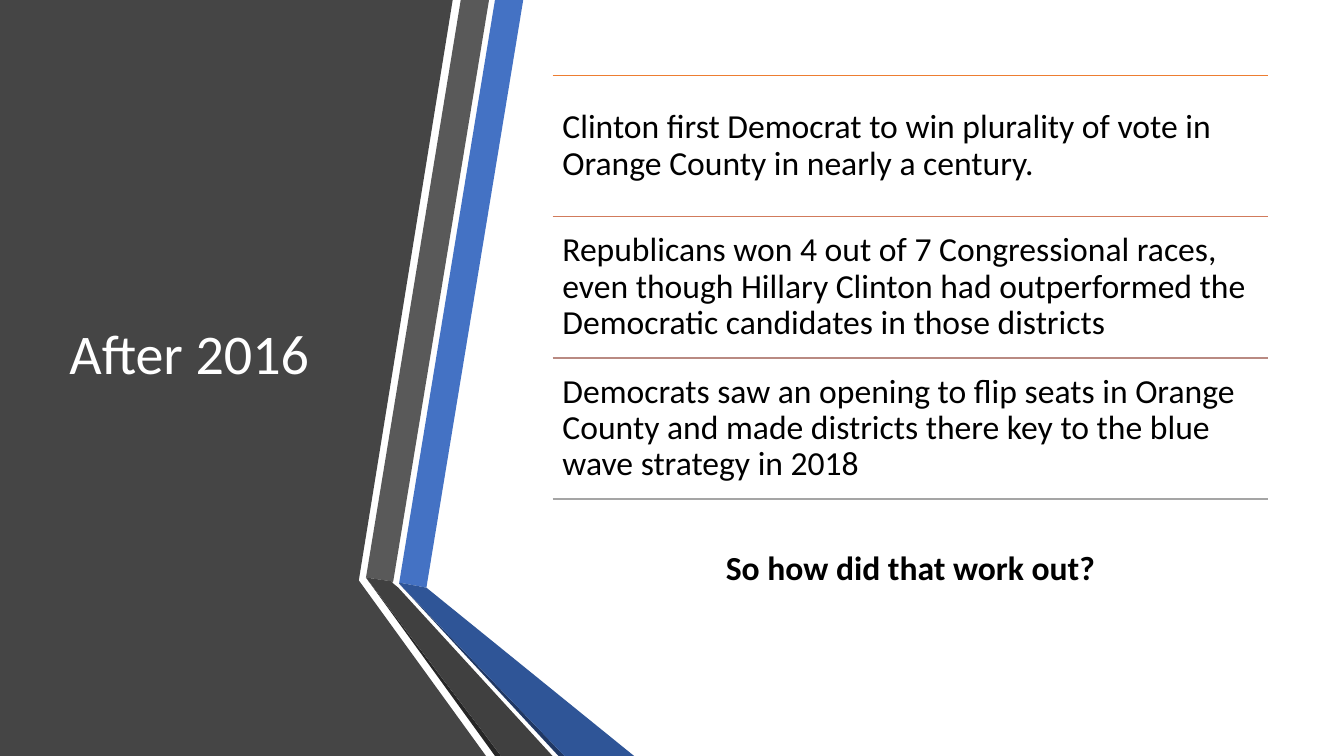
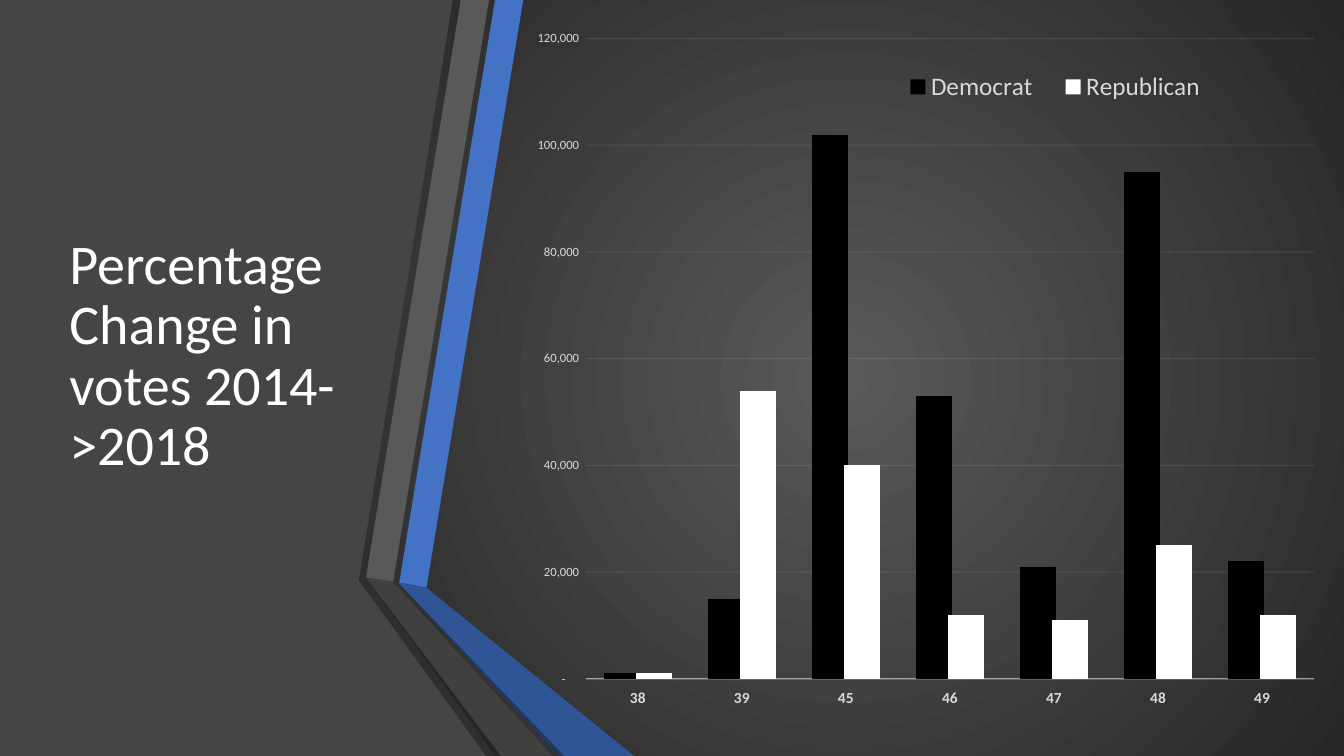
from lxml import etree
from pptx import Presentation
from pptx.chart.data import CategoryChartData
from pptx.dml.color import RGBColor
from pptx.enum.chart import XL_CHART_TYPE, XL_LEGEND_POSITION, XL_TICK_LABEL_POSITION, XL_TICK_MARK
from pptx.enum.shapes import MSO_CONNECTOR
from pptx.enum.text import MSO_ANCHOR, PP_ALIGN
from pptx.oxml import parse_xml
from pptx.oxml.ns import nsdecls, qn
from pptx.util import Inches, Pt

COLUMN = XL_CHART_TYPE.COLUMN_CLUSTERED
BOTTOM = XL_LEGEND_POSITION.BOTTOM
LOW = XL_TICK_LABEL_POSITION.LOW
NO_TICK = XL_TICK_MARK.NONE
STRAIGHT = MSO_CONNECTOR.STRAIGHT
MIDDLE = MSO_ANCHOR.MIDDLE
LEFT, CENTER = PP_ALIGN.LEFT, PP_ALIGN.CENTER

FONT = "Calibri"
BLACK, WHITE, PALE, MIST = "000000", "FFFFFF", "D9D9D9", "F2F2F2"
BANDS = [
    ("454545", [(0, 0), (4.49, 0), (3.56, 5.75), (3.56, 5.76), (4.82, 7.5), (0, 7.5)]),
    ("4472C4", [(3.96, 5.78), (4.23, 5.83), (5.19, 0), (4.91, 0)]),
    ("595959", [(4.85, 0), (4.57, 0), (3.63, 5.73), (3.9, 5.77)]),
    ("262626", [(3.63, 5.73), (4.91, 7.5), (4.97, 7.5)]),
    ("203864", [(3.96, 5.79), (5.54, 7.5), (5.6, 7.5)]),
    ("2F5597", [(3.96, 5.79), (5.6, 7.5), (6.29, 7.5), (4.23, 5.83), (3.96, 5.78)]),
    ("404040", [(5.48, 7.5), (3.95, 5.83), (3.89, 5.78), (3.9, 5.77), (3.63, 5.73), (4.97, 7.5)]),
]


def hue(code):
    return RGBColor.from_string(code)


def write(slide, box, text, size, color, bold=False, align=LEFT, inset=0.05):
    """Add a wrapped, vertically centred text box; box is in inches."""
    frame = slide.shapes.add_textbox(*map(Inches, box)).text_frame
    frame.word_wrap = True
    frame.vertical_anchor = MIDDLE
    frame.margin_top = frame.margin_bottom = Inches(inset)
    para = frame.paragraphs[0]
    para.alignment = align
    para.line_spacing = 0.9
    run = para.add_run()
    run.text = text
    run.font.name = FONT
    run.font.size = Pt(size)
    run.font.bold = bold
    run.font.color.rgb = hue(color)


deck = Presentation()
deck.slide_width, deck.slide_height = Inches(13.33), Inches(7.5)
blank = deck.slide_layouts[6]
after = deck.slides.add_slide(blank)
votes = deck.slides.add_slide(blank)

# Vote chart, behind the bands
data = CategoryChartData()
data.categories = ["38", "39", "45", "46", "47", "48", "49"]
data.add_series("Democrat", [1000, 15000, 102000, 53000, 21000, 95000, 22000])
data.add_series("Republican", [1000, 54000, 40000, 12000, 11000, 25000, 12000])
chart = votes.shapes.add_chart(
    COLUMN, Inches(3.45), 0, Inches(9.88), Inches(7.5), data).chart
chart.has_title = False
chart.font.name, chart.font.size = FONT, Pt(10)

plot = chart.plots[0]
plot.gap_width, plot.overlap = 100, 10
plot.vary_by_categories = False
for series, color in zip(plot.series, [BLACK, WHITE]):
    series.format.fill.solid()
    series.format.fill.fore_color.rgb = hue(color)
    series.invert_if_negative = False

cat, val = chart.category_axis, chart.value_axis
cat.tick_label_position = LOW
val.minimum_scale, val.maximum_scale, val.major_unit = 0, 120000, 20000
val.tick_labels.number_format = '_(* #,##0_);_(* \\(#,##0\\);_(* "-"??_);_('
val.tick_labels.number_format_is_linked = False
val.format.line.fill.background()
chart.has_legend = True
legend = chart.legend
legend.position = BOTTOM
legend.include_in_layout = False
for font, size, bold in [(cat.tick_labels.font, 11, True),
                         (val.tick_labels.font, 9, False), (legend.font, 18, False)]:
    font.name, font.size, font.bold = FONT, Pt(size), bold
    font.color.rgb = hue(PALE)
for axis in (cat, val):
    axis.major_tick_mark = axis.minor_tick_mark = NO_TICK
grid = val.major_gridlines
for part, where, width, alpha in [(cat, "./c:spPr//a:srgbClr", 1, 54),
                                  (grid, "./c:majorGridlines//a:srgbClr", 0.75, 10)]:
    part.format.line.color.rgb = hue(MIST)
    part.format.line.width = Pt(width)
    owner = cat if part is cat else val
    tint = owner._element.xpath(where)[0]
    etree.SubElement(tint, qn("a:alpha"), val=str(alpha * 1000))

# Manual layouts and the radial background need XML
area = chart._chartSpace.chart.plotArea
for old in area.findall(qn("c:layout")):
    area.remove(old)
for owner, spot, target, box in [
        (area, 0, '<c:layoutTarget val="inner"/>', (0.239, 0.051, 0.731, 0.847)),
        (legend._element, 1, "", (0.54, 0.08, 0.34, 0.07))]:
    for old in owner.findall(qn("c:layout")):
        owner.remove(old)
    sizes = "".join(f'<c:{key} val="{num}"/>' for key, num in zip("xywh", box))
    owner.insert(spot, parse_xml(
        f'<c:layout {nsdecls("c")}><c:manualLayout>{target}'
        f'<c:xMode val="edge"/><c:yMode val="edge"/>{sizes}</c:manualLayout></c:layout>'))
chart._chartSpace.chart.addnext(parse_xml(
    f'<c:spPr {nsdecls("c", "a")}><a:gradFill><a:gsLst>'
    '<a:gs pos="0"><a:srgbClr val="595959"/></a:gs>'
    '<a:gs pos="100000"><a:srgbClr val="262626"/></a:gs></a:gsLst>'
    '<a:path path="circle"><a:fillToRect l="50000" t="50000" r="50000" b="50000"/></a:path>'
    '</a:gradFill><a:ln><a:noFill/></a:ln></c:spPr>'))

# Shared bands and title
for slide, title in [(after, "After 2016"), (votes, "Percentage Change in votes 2014->2018")]:
    for color, points in BANDS:
        points = [(Inches(x), Inches(y)) for x, y in points]
        pen = slide.shapes.build_freeform(*points[0])
        pen.add_line_segments(points[1:], close=True)
        band = pen.convert_to_shape()
        band.shadow.inherit = False
        band.fill.solid()
        band.fill.fore_color.rgb = hue(color)
        band.line.fill.background()
    write(slide, (0.59, 0.75, 3.04, 5.58), title, 40, WHITE)

# Ruled statements
rows = [
    ("ED7D31", "Clinton first Democrat to win plurality of vote in Orange County in nearly a century."),
    ("D17B5C", "Republicans won 4 out of 7 Congressional races, even though Hillary Clinton had "
               "outperformed the Democratic candidates in those districts"),
    ("B98A82", "Democrats saw an opening to flip seats in Orange County and made districts there "
               "key to the blue wave strategy in 2018"),
    ("A5A5A5", "So how did that work out?"),
]
left, wide, tall = 5.48, 7.1, 1.4
for i, (color, text) in enumerate(rows):
    top = 0.75 + i * tall
    rule = after.shapes.add_connector(
        STRAIGHT, Inches(left), Inches(top), Inches(left + wide), Inches(top))
    rule.line.color.rgb = hue(color)
    rule.line.width = Pt(1)
    etree.SubElement(rule._element.spPr, qn("a:effectLst"))
    last = i == len(rows) - 1
    write(after, (left, top, wide, tall), text, 24, BLACK, last, CENTER if last else LEFT, 0.1)

deck.save("out.pptx")
